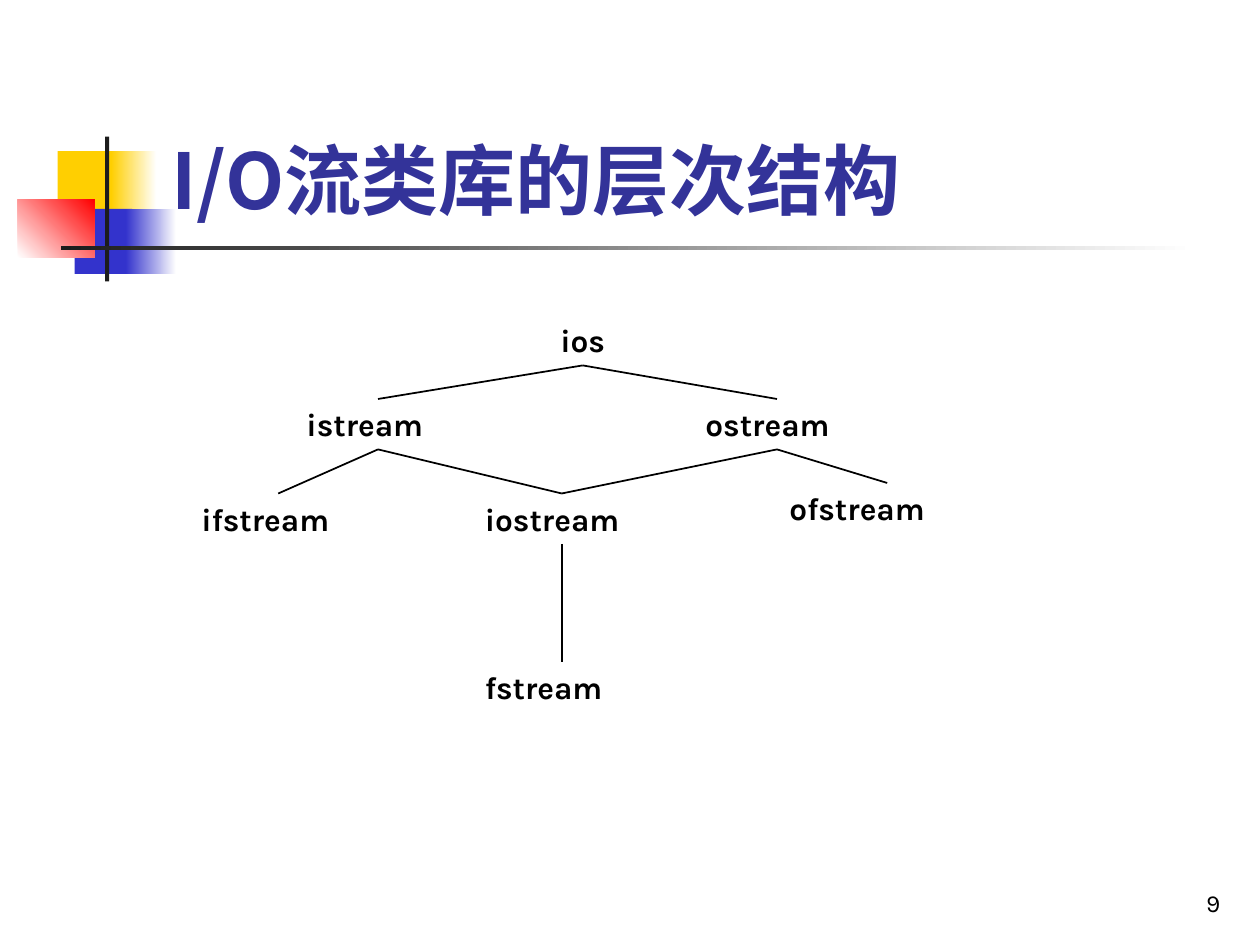
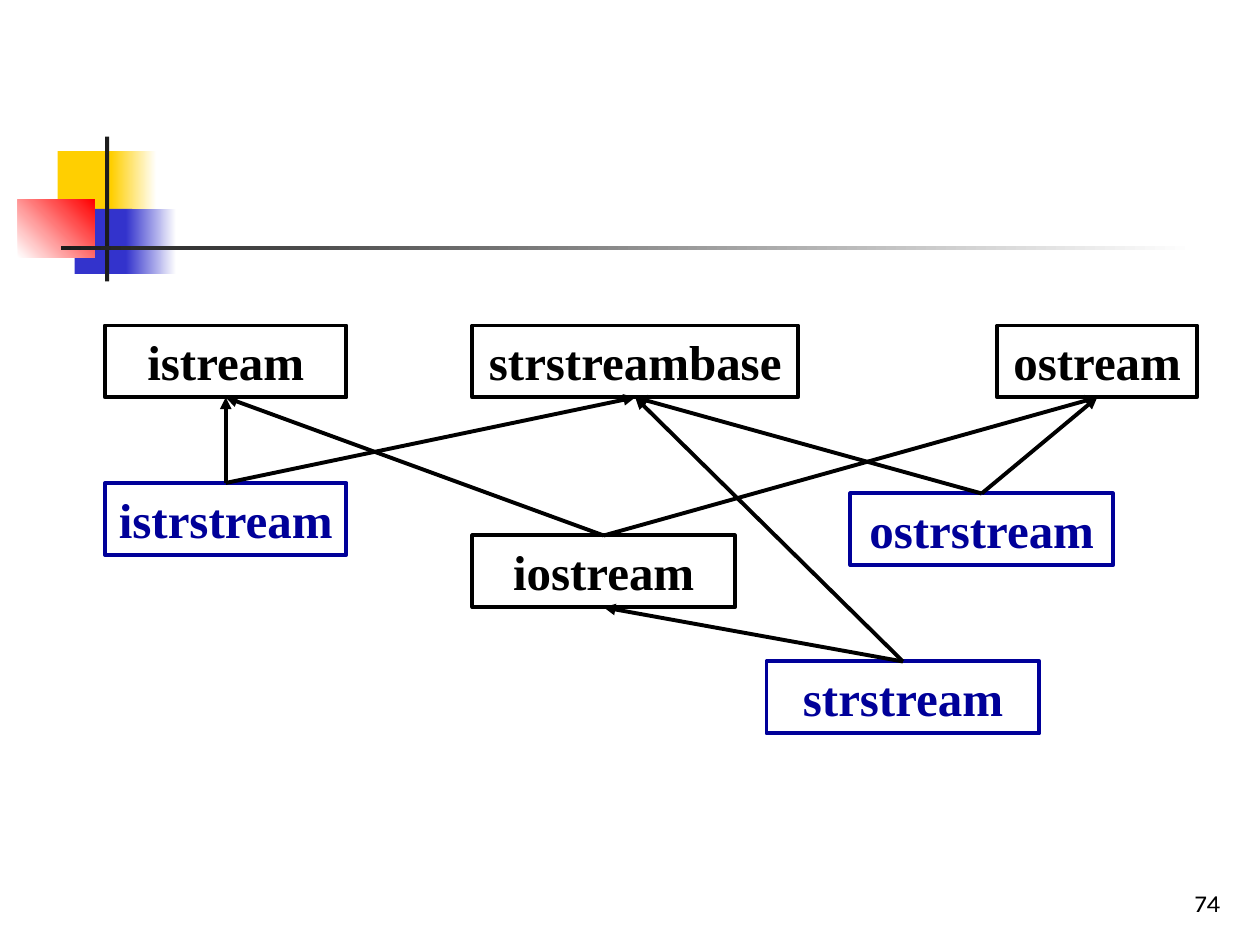
from pptx import Presentation
from pptx.dml.color import RGBColor
from pptx.enum.shapes import MSO_CONNECTOR, MSO_SHAPE
from pptx.enum.text import MSO_ANCHOR, MSO_AUTO_SIZE, PP_ALIGN
from pptx.oxml.ns import qn
from pptx.util import Inches, Pt
from lxml import etree

COLORS = {
    "black": "000000", "white": "FFFFFF", "title": "333399", "navy": "000099",
    "yellow": "FFCF01", "blue": "3333CC", "red": "FF0000", "charcoal": "1C1C1C",
}
TITLE_FONT = "Noto Sans CJK SC"
LABEL_FONT = "Karla"
BOX_FONT = "Times New Roman"

# The slide is a grid of 120 columns by 90 rows.
COLUMNS, ROWS = 120, 90
CELL = Inches(10) // COLUMNS
TITLE_BOX = (15.1, 2.8, 102.3, 19.2)
NUMBER_BOX = (92.4, 82, 25, 6)

# Box, start colour, end colour (None for a solid fill), gradient angle
BAND_PARTS = [
    ((5.5, 14.4, 5.8, 6.2), "yellow", None, 0),
    ((10.6, 14.4, 4.3, 6.2), "yellow", "white", 0),
    ((7.1, 19.9, 5.5, 6.2), "blue", None, 0),
    ((12, 19.9, 4.8, 6.2), "blue", "white", 0),
    ((1.7, 19, 7.3, 5.5), "white", "red", 45),
    ((10, 13, 0.4, 13.8), "charcoal", None, 0),
    ((5.8, 23.4, 108, 0.4), "charcoal", "white", 0),
]

# Column, row and width of each class, relative to its diagram
STREAM_LABELS = {
    "ios": (32, 0, 11), "istream": (10, 8, 16), "ostream": (48, 8, 16),
    "ifstream": (0, 17, 17), "iostream": (27, 17, 17),
    "ofstream": (56, 16, 21), "fstream": (27, 33, 17),
}
STREAM_BRANCHES = [
    ("ios", "istream"), ("ios", "ostream"), ("istream", "ifstream"),
    ("istream", "iostream"), ("ostream", "iostream"),
    ("ostream", "ofstream"), ("iostream", "fstream"),
]
STRING_CLASSES = {
    "istream": (0, 0, 23, "black"), "strstreambase": (35, 0, 31, "black"),
    "ostream": (85, 0, 19, "black"), "istrstream": (0, 15, 23, "navy"),
    "ostrstream": (71, 16, 25, "navy"), "iostream": (35, 20, 25, "black"),
    "strstream": (63, 32, 26, "navy"),
}
STRING_BASES = {
    "istrstream": ["istream", "strstreambase"],
    "ostrstream": ["strstreambase", "ostream"],
    "iostream": ["istream", "ostream"],
    "strstream": ["iostream", "strstreambase"],
}
TOP_SITE, BOTTOM_SITE = 0, 2


def rgb(name):
    return RGBColor.from_string(COLORS[name])


def grid(*cells):
    return [round(cell * CELL) for cell in cells]


def set_format(target, values):
    for name, value in values.items():
        setattr(target, name, value)


def write_text(shape, text, font, size, color="black", bold=True,
               align=PP_ALIGN.LEFT, anchor=MSO_ANCHOR.TOP):
    frame = shape.text_frame
    set_format(frame, {"text": text, "word_wrap": True,
                       "auto_size": MSO_AUTO_SIZE.NONE, "vertical_anchor": anchor})
    paragraph = frame.paragraphs[0]
    paragraph.alignment = align
    run = paragraph.runs[0]
    set_format(run.font, {"name": font, "size": Pt(size), "bold": bold})
    run.font.color.rgb = rgb(color)
    east_asian = etree.SubElement(run.font._element, qn("a:ea"))
    east_asian.set("typeface", font)


def add_band(presentation, slide):
    """Draw the band on the slide, then move it to the master."""
    master_tree = presentation.slide_master.shapes._spTree
    for box, start, end, angle in BAND_PARTS:
        shape = slide.shapes.add_shape(MSO_SHAPE.RECTANGLE, *grid(*box))
        shape.shadow.inherit = False
        shape.line.fill.background()
        if end:
            shape.fill.gradient()
            shape.fill.gradient_angle = angle
            for stop, color in zip(shape.fill.gradient_stops, (start, end)):
                stop.color.rgb = rgb(color)
        else:
            shape.fill.solid()
            shape.fill.fore_color.rgb = rgb(start)
        master_tree.append(shape._element)


def add_title(slide, text):
    title = slide.shapes.title
    left, top, width, height = grid(*TITLE_BOX)
    set_format(title, {"left": left, "top": top, "width": width, "height": height})
    write_text(title, text, TITLE_FONT, 44, "title", anchor=MSO_ANCHOR.BOTTOM)


def add_number(slide, number):
    box = slide.shapes.add_textbox(*grid(*NUMBER_BOX))
    write_text(box, str(number), LABEL_FONT, 14, bold=False,
               align=PP_ALIGN.RIGHT, anchor=MSO_ANCHOR.BOTTOM)


def connect(slide, start, start_site, end, end_site, width, arrow=False):
    connector = slide.shapes.add_connector(MSO_CONNECTOR.STRAIGHT, 0, 0, 0, 0)
    connector.begin_connect(start, start_site)
    connector.end_connect(end, end_site)
    connector.line.width = Pt(width)
    connector.line.color.rgb = rgb("black")
    if arrow:
        tail = etree.SubElement(connector.line._get_or_add_ln(), qn("a:tailEnd"))
        tail.set("type", "triangle")
    etree.SubElement(connector._element.spPr, qn("a:effectLst"))


def add_stream_tree(slide, left, top):
    labels = {}
    for name, (column, row, width) in STREAM_LABELS.items():
        label = slide.shapes.add_textbox(*grid(left + column, top + row, width, 4.8))
        align = PP_ALIGN.CENTER if name == "ios" else PP_ALIGN.LEFT
        write_text(label, name, LABEL_FONT, 18, align=align)
        labels[name] = label
    for base, derived in STREAM_BRANCHES:
        connect(slide, labels[base], BOTTOM_SITE, labels[derived], TOP_SITE, 1)


def add_string_stream_diagram(slide, left, top):
    boxes = {}
    for name, (column, row, width, color) in STRING_CLASSES.items():
        box = slide.shapes.add_shape(
            MSO_SHAPE.RECTANGLE, *grid(left + column, top + row, width, 6.85))
        box.shadow.inherit = False
        box.fill.background()
        box.line.width = Pt(2.25)
        box.line.color.rgb = rgb(color)
        write_text(box, name, BOX_FONT, 28, color, align=PP_ALIGN.CENTER)
        boxes[name] = box
    for derived, bases in STRING_BASES.items():
        for base in bases:
            connect(slide, boxes[derived], TOP_SITE, boxes[base], BOTTOM_SITE,
                    2.25, arrow=True)


def main():
    presentation = Presentation()
    set_format(presentation, {"slide_width": COLUMNS * CELL,
                              "slide_height": ROWS * CELL})
    title_only, blank = presentation.slide_layouts[5], presentation.slide_layouts[6]

    tree_slide = presentation.slides.add_slide(title_only)
    add_band(presentation, tree_slide)
    add_title(tree_slide, "I/O流类库的层次结构")
    add_stream_tree(tree_slide, 18, 30)
    add_number(tree_slide, 9)

    string_slide = presentation.slides.add_slide(blank)
    add_string_stream_diagram(string_slide, 10, 31)
    add_number(string_slide, 74)

    presentation.save("out.pptx")


if __name__ == "__main__":
    main()
